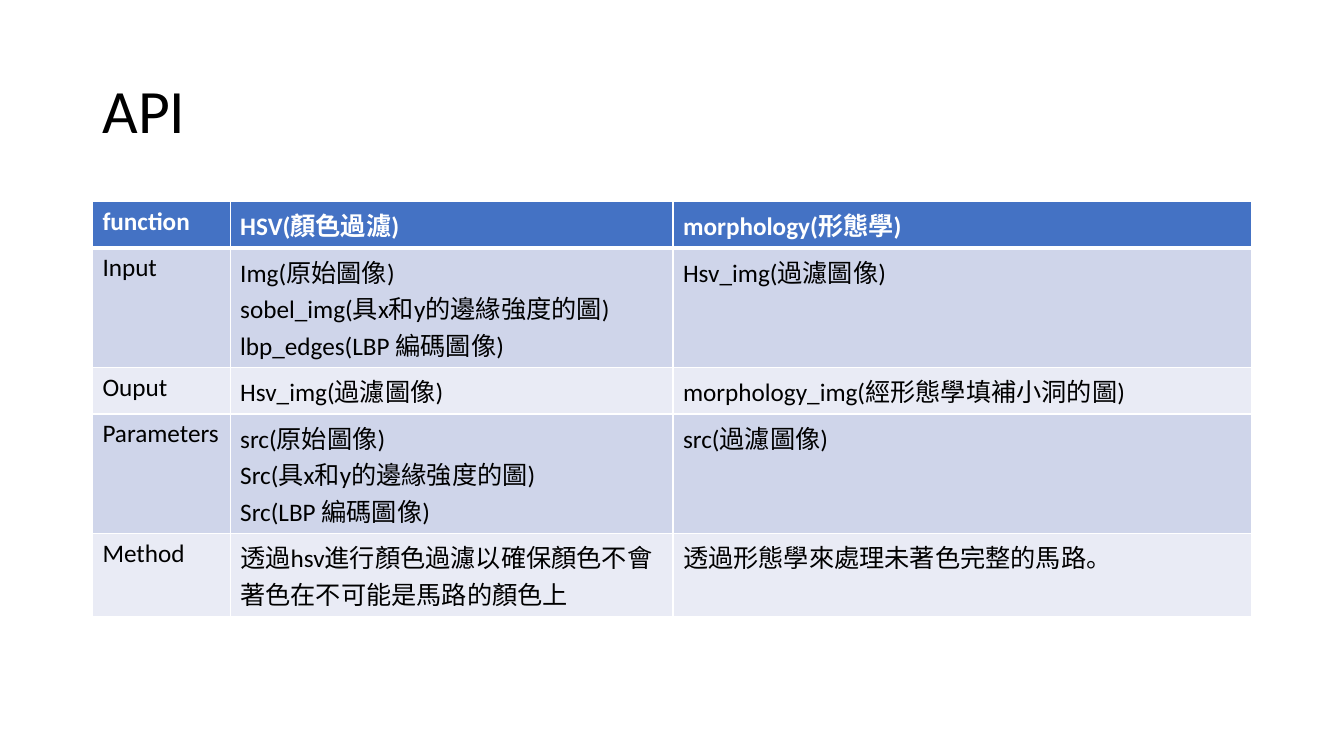
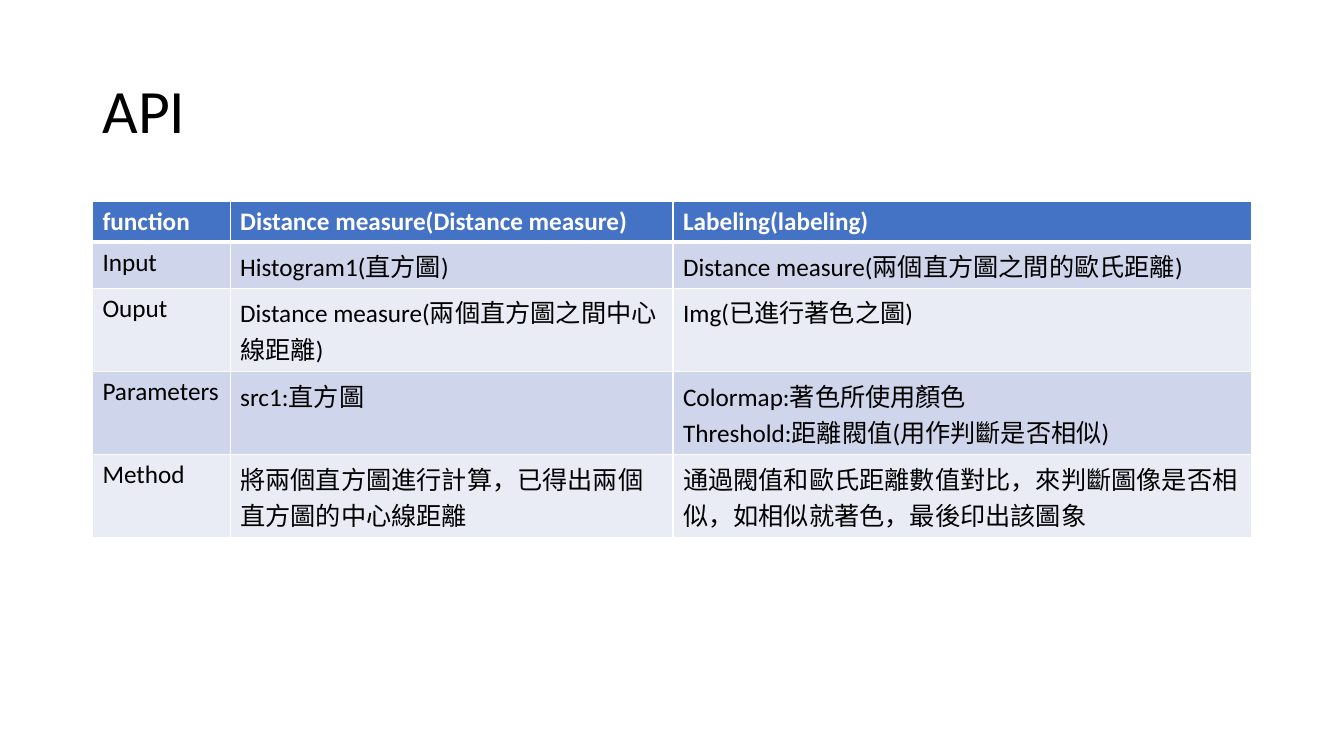
from dataclasses import dataclass

from lxml.etree import SubElement
from pptx import Presentation
from pptx.dml.color import RGBColor
from pptx.enum.text import MSO_ANCHOR, MSO_AUTO_SIZE, PP_ALIGN
from pptx.oxml.ns import qn
from pptx.util import Cm, Pt


@dataclass(frozen=True)
class Theme:
    font: str = "Calibri"
    title_size: int = 44
    table_size: int = 18
    ink: str = "000000"
    paper: str = "FFFFFF"
    header: str = "4472C4"
    bands: tuple = ("CFD5EA", "E9EBF5")
    rule: int = 1
    header_rule: int = 3


# Content: row labels are shared, each function supplies one column
ROW_LABELS = ["function", "Input", "Ouput", "Parameters", "Method"]

HSV = [
    "HSV(顏色過濾)",
    "Img(原始圖像)\nsobel_img(具x和y的邊緣強度的圖)\nlbp_edges(LBP 編碼圖像)",
    "Hsv_img(過濾圖像)",
    "src(原始圖像)\nSrc(具x和y的邊緣強度的圖)\nSrc(LBP 編碼圖像)",
    "透過hsv進行顏色過濾以確保顏色不會著色在不可能是馬路的顏色上",
]
MORPHOLOGY = [
    "morphology(形態學)",
    "Hsv_img(過濾圖像)",
    "morphology_img(經形態學填補小洞的圖)",
    "src(過濾圖像)",
    "透過形態學來處理未著色完整的馬路。",
]
DISTANCE = [
    "Distance measure(Distance measure)",
    "Histogram1(直方圖)",
    "Distance measure(兩個直方圖之間中心線距離)",
    "src1:直方圖",
    "將兩個直方圖進行計算，已得出兩個直方圖的中心線距離",
]
LABELING = [
    "Labeling(labeling)",
    "Distance measure(兩個直方圖之間的歐氏距離)",
    "Img(已進行著色之圖)",
    "Colormap:著色所使用顏色\nThreshold:距離閥值(用作判斷是否相似)",
    "通過閥值和歐氏距離數值對比，來判斷圖像是否相似，如相似就著色，最後印出該圖象",
]


class Deck:
    LEFT, WIDTH = Cm(2.33), Cm(29.21)
    TITLE_TOP, TITLE_HEIGHT = Cm(1.01), Cm(3.68)
    TABLE_TOP, ROW_HEIGHT = Cm(5.07), Cm(1.03)
    COLUMN_WIDTHS = Cm(3.47), Cm(11.16), Cm(14.58)

    def __init__(self, theme):
        self.theme = theme
        self.presentation = Presentation()
        self.presentation.slide_width = Cm(33.87)
        self.presentation.slide_height = Cm(19.05)
        self.slide = None

    def add_slide(self, heading):
        title_only = self.presentation.slide_layouts[5]
        self.slide = self.presentation.slides.add_slide(title_only)
        self.add_title(heading)

    def add_title(self, heading):
        title = self.slide.shapes.title
        title.left, title.top = self.LEFT, self.TITLE_TOP
        title.width, title.height = self.WIDTH, self.TITLE_HEIGHT
        frame = title.text_frame
        frame.text = heading
        frame.auto_size = MSO_AUTO_SIZE.NONE
        frame.vertical_anchor = MSO_ANCHOR.MIDDLE
        frame.paragraphs[0].alignment = PP_ALIGN.LEFT
        frame.paragraphs[0].line_spacing = 0.9
        self.format_text(frame, self.theme.title_size, self.theme.ink)

    def add_function_table(self, *functions):
        rows = list(zip(ROW_LABELS, *functions))
        table = self.slide.shapes.add_table(
            len(rows), len(self.COLUMN_WIDTHS), self.LEFT, self.TABLE_TOP,
            self.WIDTH, self.ROW_HEIGHT * len(rows)).table
        for column, width in zip(table.columns, self.COLUMN_WIDTHS):
            column.width = width
        for row_index, row in enumerate(rows):
            for column_index, entry in enumerate(row):
                self.fill_cell(table.cell(row_index, column_index), entry, row_index)

    def fill_cell(self, cell, entry, row_index):
        theme = self.theme
        is_header = row_index == 0
        # The heavy rule separates the header from the first body row
        self.add_borders(
            cell,
            top=theme.header_rule if row_index == 1 else theme.rule,
            bottom=theme.header_rule if is_header else theme.rule)
        band = theme.bands[(row_index - 1) % len(theme.bands)]
        cell.fill.solid()
        cell.fill.fore_color.rgb = RGBColor.from_string(
            theme.header if is_header else band)
        cell.text_frame.text = entry
        self.format_text(cell.text_frame, theme.table_size,
                         theme.paper if is_header else theme.ink, is_header)

    def add_borders(self, cell, top, bottom):
        properties = cell._tc.get_or_add_tcPr()
        sides = {"L": self.theme.rule, "R": self.theme.rule, "T": top, "B": bottom}
        for side, weight in sides.items():
            line = SubElement(properties, qn(f"a:ln{side}"), w=str(Pt(weight)))
            paint = SubElement(line, qn("a:solidFill"))
            SubElement(paint, qn("a:srgbClr"), val=self.theme.paper)

    def format_text(self, frame, size, color, bold=False):
        for paragraph in frame.paragraphs:
            for run in paragraph.runs:
                run.font.name = self.theme.font
                run.font.size = Pt(size)
                run.font.bold = bold
                run.font.color.rgb = RGBColor.from_string(color)


def main():
    deck = Deck(Theme())

    # One slide for each pair of functions
    for functions in [(HSV, MORPHOLOGY), (DISTANCE, LABELING)]:
        deck.add_slide("API")
        deck.add_function_table(*functions)

    deck.presentation.save("out.pptx")


if __name__ == "__main__":
    main()
